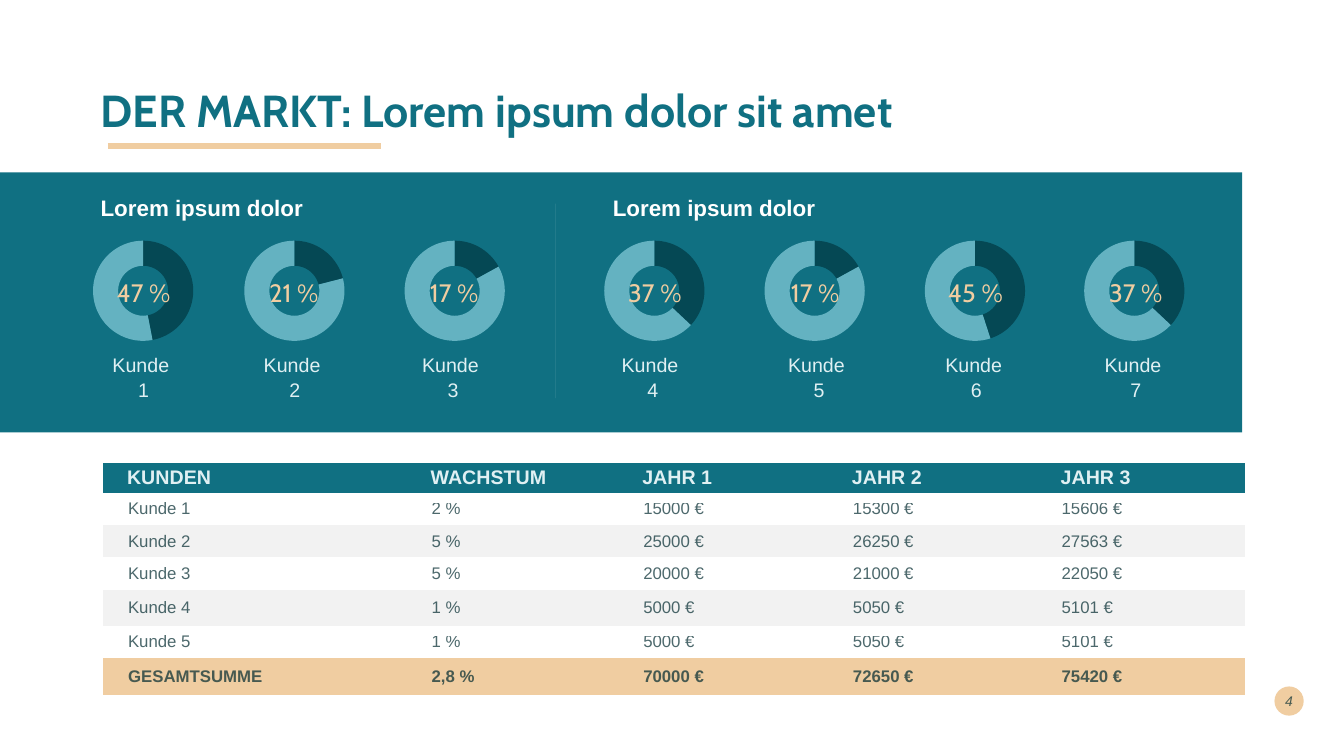
from dataclasses import dataclass
from typing import Any, Optional

from lxml import etree
from pptx import Presentation
from pptx import util as u
from pptx.chart import data
from pptx.dml import color
from pptx.enum import chart as charts
from pptx.enum import shapes, text
from pptx.oxml import ns

EMU_PER_PX = 9144
WHITE = color.RGBColor(0xFF, 0xFF, 0xFF)
TEAL = color.RGBColor(0x10, 0x70, 0x82)
DARK_TEAL = color.RGBColor(0x05, 0x48, 0x54)
LIGHT_TEAL = color.RGBColor(0x64, 0xB2, 0xC1)
PALE = color.RGBColor(0xE0, 0xF0, 0xF3)
SAND = color.RGBColor(0xF0, 0xCD, 0xA1)
INK = color.RGBColor(0x00, 0x29, 0x2E)
GREY = color.RGBColor(0xF2, 0xF2, 0xF2)
NO_STYLE = "{2D5ABB26-0587-4C30-8999-92F81FD0307C}"
COLUMN_WIDTHS = (301, 210, 208, 207, 207)


@dataclass(frozen=True)
class Style:
    size: int
    colour: color.RGBColor
    font: str = "Arial"
    bold: bool = False
    italic: bool = False
    opacity: int = 100
    before: float = 0
    line_spacing: float = 1
    indent: int = 0
    align: text.PP_ALIGN = text.PP_ALIGN.LEFT


@dataclass(frozen=True)
class Customer:
    number: int
    share: int
    centre: int
    share_centre: int
    label_centre: int


@dataclass(frozen=True)
class Row:
    height: int
    cells: tuple[str, ...]
    style: Style
    fill: Optional[color.RGBColor] = None
    padded: bool = True


CENTRED = text.PP_ALIGN.CENTER
TITLE = Style(32, TEAL, "Cabin", bold=True, line_spacing=0.9)
HEADING = Style(16, WHITE, bold=True, before=10, line_spacing=0.9)
SHARE = Style(18, SAND, "Cabin", before=1, indent=1, align=CENTRED)
LABEL = Style(14, PALE, before=1, indent=1, align=CENTRED)
PAGE = Style(10, INK, italic=True, opacity=70, align=text.PP_ALIGN.RIGHT)
HEADER = Style(14, PALE, bold=True, before=7.8, indent=24)
BODY = Style(12, INK, opacity=70, before=3.4, indent=25)
TOTAL = Style(12, INK, bold=True, opacity=70, before=3.7, indent=25)

CUSTOMERS = (
    Customer(1, 47, 142, 142, 142),
    Customer(2, 21, 292, 291, 292),
    Customer(3, 17, 451, 450, 449),
    Customer(4, 37, 649, 649, 647),
    Customer(5, 17, 808, 808, 812),
    Customer(6, 45, 967, 967, 968),
    Customer(7, 37, 1125, 1126, 1126),
)
ROWS = (
    Row(30, ("KUNDEN", "WACHSTUM", "JAHR 1", "JAHR 2", "JAHR 3"), HEADER, TEAL, False),
    Row(32, ("Kunde 1", "2 %", "15000 €", "15300 €", "15606 €"), BODY),
    Row(32, ("Kunde 2", "5 %", "25000 €", "26250 €", "27563 €"), BODY, GREY),
    Row(32, ("Kunde 3", "5 %", "20000 €", "21000 €", "22050 €"), BODY),
    Row(36, ("Kunde 4", "1 %", "5000 €", "5050 €", "5101 €"), BODY, GREY),
    Row(32, ("Kunde 5", "1 %", "5000 €", "5050 €", "5101 €"), BODY),
    Row(37, ("GESAMTSUMME", "2,8 %", "70000 €", "72650 €", "75420 €"), TOTAL, SAND, False),
)


def px(length: int) -> u.Emu:
    return u.Emu(length * EMU_PER_PX)


def set_opacity(element: Any, percent: int) -> None:
    for fill in element.iter(ns.qn("a:srgbClr")):
        etree.SubElement(fill, ns.qn("a:alpha")).set("val", str(percent * 1000))


def write(frame: Any, lines: tuple[str, ...], style: Style) -> None:
    for index, line in enumerate(lines):
        paragraph = frame.add_paragraph() if index else frame.paragraphs[0]
        paragraph.alignment = style.align
        paragraph.space_before = u.Pt(style.before)
        paragraph.line_spacing = style.line_spacing
        paragraph._p.get_or_add_pPr().set("marL", str(px(style.indent)))
        run = paragraph.add_run()
        run.text = line
        run.font.name = style.font
        run.font.size = u.Pt(style.size)
        run.font.bold = style.bold
        run.font.italic = style.italic
        run.font.color.rgb = style.colour
        if style.opacity < 100:
            set_opacity(run._r, style.opacity)


def add_text(slide: Any, left: int, top: int, width: int, height: int,
             lines: tuple[str, ...], style: Style, middle: bool = False) -> Any:
    frame = slide.shapes.add_textbox(px(left), px(top), px(width), px(height)).text_frame
    frame.word_wrap = True
    frame.vertical_anchor = text.MSO_ANCHOR.MIDDLE if middle else text.MSO_ANCHOR.TOP
    write(frame, lines, style)
    return frame


def add_centred(slide: Any, centre: int, top: int, height: int,
                lines: tuple[str, ...], style: Style) -> None:
    frame = add_text(slide, centre - 50, top, 100, height, lines, style)
    frame.margin_left = frame.margin_right = frame.margin_bottom = 0
    frame.margin_top = px(1)
    frame.auto_size = text.MSO_AUTO_SIZE.SHAPE_TO_FIT_TEXT


def add_filled(slide: Any, kind: shapes.MSO_SHAPE, left: int, top: int,
               width: int, height: int, colour: color.RGBColor) -> None:
    shape = slide.shapes.add_shape(kind, px(left), px(top), px(width), px(height))
    shape.shadow.inherit = False
    shape.fill.solid()
    shape.fill.fore_color.rgb = colour
    shape.line.fill.background()


def add_line(slide: Any, start: tuple[int, int], end: tuple[int, int],
             colour: color.RGBColor, width: float, opacity: int = 100) -> None:
    line = slide.shapes.add_connector(
        shapes.MSO_CONNECTOR.STRAIGHT, px(start[0]), px(start[1]), px(end[0]), px(end[1]))
    line.line.color.rgb = colour
    line.line.width = u.Pt(width)
    properties = line._element.spPr
    if opacity < 100:
        set_opacity(properties, opacity)
    etree.SubElement(properties, ns.qn("a:effectLst"))


def add_customer(slide: Any, customer: Customer) -> None:
    chart_data = data.CategoryChartData()
    chart_data.categories = ["1", "2"]
    chart_data.add_series("Series 1", (customer.share, 100 - customer.share))
    chart = slide.shapes.add_chart(
        charts.XL_CHART_TYPE.DOUGHNUT, px(customer.centre - 81), px(225),
        px(162), px(127), chart_data).chart
    chart.has_legend = False
    chart.has_title = False
    chart.font.name = "Arial"
    chart.font.size = u.Pt(10)
    plot = chart.plots[0]
    plot.vary_by_categories = True
    for index, colour in enumerate((DARK_TEAL, LIGHT_TEAL)):
        point = plot.series[0].points[index].format
        point.fill.solid()
        point.fill.fore_color.rgb = colour
        point.line.fill.background()
    for hole in chart._chartSpace.iter(ns.qn("c:holeSize")):
        hole.set("val", "67")
    add_centred(slide, customer.share_centre, 274, 32, (f"{customer.share} %",), SHARE)
    add_centred(slide, customer.label_centre, 349, 50, ("Kunde ", str(customer.number)), LABEL)


def add_growth_table(slide: Any) -> None:
    table = slide.shapes.add_table(
        len(ROWS), len(COLUMN_WIDTHS), px(102), px(459), px(sum(COLUMN_WIDTHS)),
        px(sum(row.height for row in ROWS))).table
    table.first_row = table.horz_banding = False
    table._tbl.tblPr.find(ns.qn("a:tableStyleId")).text = NO_STYLE
    for column, width in zip(table.columns, COLUMN_WIDTHS):
        column.width = px(width)
    for table_row, row in zip(table.rows, ROWS):
        table_row.height = px(row.height)
        for cell, value in zip(table_row.cells, row.cells):
            cell.vertical_anchor = text.MSO_ANCHOR.MIDDLE
            cell.margin_left = 0
            cell.margin_right = px(10 if row.padded else 0)
            cell.margin_top = cell.margin_bottom = px(5 if row.padded else 0)
            if row.fill is None:
                cell.fill.background()
            else:
                cell.fill.solid()
                cell.fill.fore_color.rgb = row.fill
            write(cell.text_frame, (value,), row.style)


def main() -> None:
    presentation = Presentation()
    presentation.slide_width, presentation.slide_height = px(1333), px(750)
    slide = presentation.slides.add_slide(presentation.slide_layouts[6])
    add_filled(slide, shapes.MSO_SHAPE.OVAL, 1264, 681, 29, 29, SAND)
    add_filled(slide, shapes.MSO_SHAPE.RECTANGLE, 0, 171, 1232, 258, TEAL)
    add_text(slide, 1253, 675, 39, 40, ("4",), PAGE, middle=True)
    add_text(slide, 90, 40, 1150, 145, ("DER MARKT: Lorem ipsum dolor sit amet",), TITLE, middle=True)
    add_line(slide, (107, 145), (378, 145), SAND, 4.32)
    add_growth_table(slide)
    for customer in CUSTOMERS:
        add_customer(slide, customer)
    for left, width in ((90, 414), (598, 572)):
        add_text(slide, left, 191, width, 38, ("Lorem ipsum dolor",), HEADING)
    add_line(slide, (551, 202), (551, 395), PALE, 0.25, opacity=25)
    presentation.save("out.pptx")


if __name__ == "__main__":
    main()
